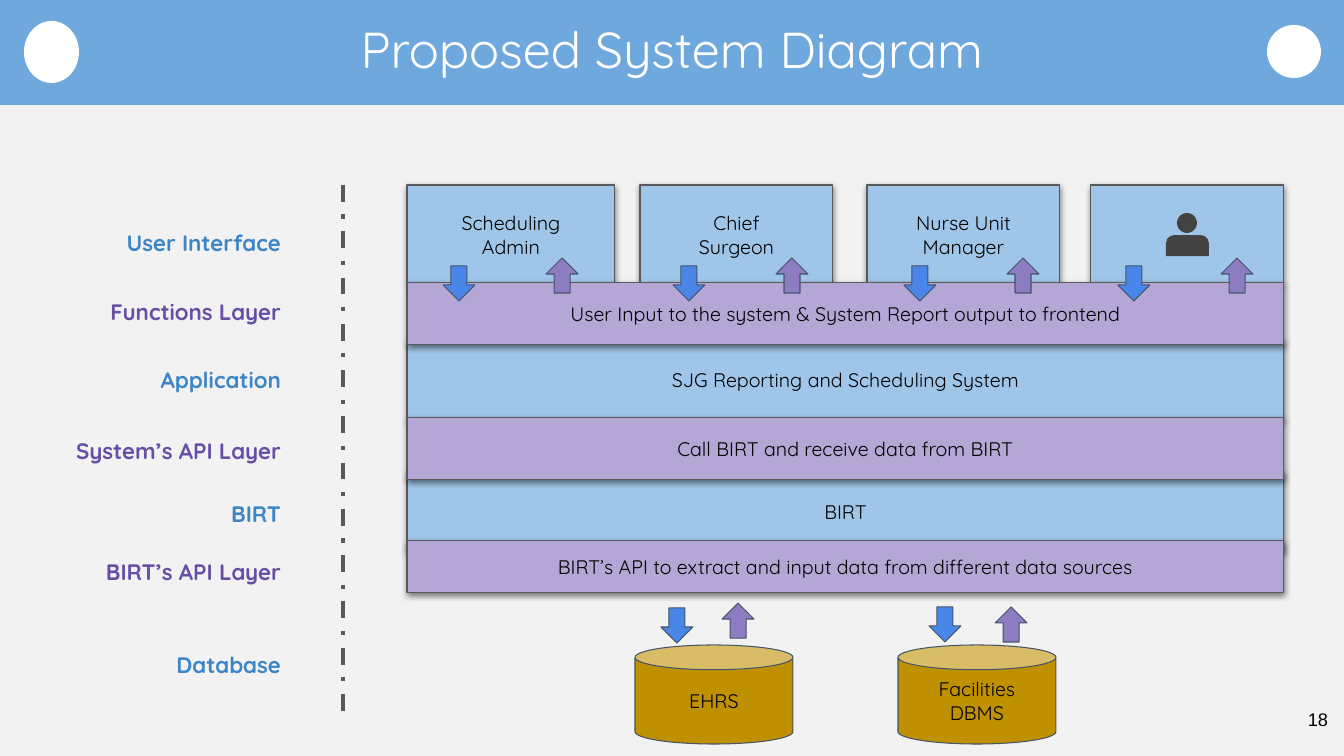
import pptx
import pptx.dml.color
import pptx.enum.dml
import pptx.enum.shapes
import pptx.enum.text
import pptx.oxml
import pptx.oxml.ns
import pptx.util

SHAPE = pptx.enum.shapes.MSO_SHAPE
ALIGN = pptx.enum.text.PP_ALIGN
ANCHOR = pptx.enum.text.MSO_ANCHOR

COLORS = {
    "page": "F2F2F2", "banner": "6FA8DC", "white": "FFFFFF", "black": "000000",
    "blue_band": "9FC5E8", "purple_band": "B4A7D6", "blue_label": "3D85C6",
    "purple_label": "674EA7", "outline": "595959", "down": "4A86E8", "up": "8E7CC3",
    "dark_line": "44546A", "person": "434343", "database": "BF9000",
}

LABELS = [
    ("User Interface", "blue_label", 208), ("Functions Layer", "purple_label", 277),
    ("Application", "blue_label", 345), ("System’s API Layer", "purple_label", 416),
    ("BIRT", "blue_label", 479), ("BIRT’s API Layer", "purple_label", 537),
    ("Database", "blue_label", 630),
]
USERS = [
    ("Scheduling\nAdmin", 407, 208, 443), ("Chief\nSurgeon", 640, 193, 673),
    ("Nurse Unit Manager", 867, 193, 904), ("", 1091, 193, 1118),
]
BANDS = [
    ("SJG Reporting and Scheduling System", "blue_band", 340, 80),
    ("BIRT", "blue_band", 471, 81),
    ("User Input to the system & System Report output to frontend", "purple_band", 283, 62),
    ("Call BIRT and receive data from BIRT", "purple_band", 418, 62),
    ("BIRT’s API to extract and input data from different data sources", "purple_band", 541, 52),
]
DATABASES = [
    ("EHRS", 635, (661, 608), (722, 603)),
    ("Facilities\nDBMS", 898, (929, 607), (995, 607)),
]


def color(name):
    return pptx.dml.color.RGBColor.from_string(COLORS[name])


def write_text(frame, text, size=14, ink="black", font="Quicksand", bold=False,
               align=ALIGN.CENTER, anchor=ANCHOR.MIDDLE, spacing=None, inset=(13, 13)):
    frame.word_wrap = True
    frame.auto_size = pptx.enum.text.MSO_AUTO_SIZE.NONE
    frame.vertical_anchor = anchor
    frame.margin_left = frame.margin_right = Slide.px(inset[0])
    frame.margin_top = frame.margin_bottom = Slide.px(inset[1])
    frame.text = text
    for para in frame.paragraphs:
        para.alignment = align
        para.line_spacing = spacing
        para.space_before = pptx.util.Pt(0)
        para.font.size = pptx.util.Pt(size)
        para.font.name = font
        para.font.bold = bold
        para.font.color.rgb = color(ink)


class Slide:
    """Hold the current page and draw styled elements on it in px."""

    @staticmethod
    def px(length):
        return round(length * 914400 / 100.8)

    def __init__(self, deck):
        self.page = deck.slides.add_slide(deck.slide_layouts[5])
        self.page.background.fill.solid()
        self.page.background.fill.fore_color.rgb = color("page")

    def shape(self, kind, area, fill, line=None):
        shape = self.page.shapes.add_shape(kind, *map(self.px, area))
        shape.shadow.inherit = False
        shape.fill.solid()
        shape.fill.fore_color.rgb = color(fill)
        if line:
            shape.line.color.rgb = color(line)
            shape.line.width = pptx.util.Pt(0.75)
        else:
            shape.line.fill.background()
        return shape

    def block(self, text, area, fill):
        block = self.shape(SHAPE.RECTANGLE, area, fill, "outline")
        effects = block.element.spPr.find(pptx.oxml.ns.qn("a:effectLst"))
        effects.append(pptx.oxml.parse_xml(
            f'<a:outerShdw {pptx.oxml.ns.nsdecls("a")} blurRad="57150" dist="19050" '
            'dir="5400000" algn="bl" rotWithShape="0"><a:srgbClr val="000000">'
            '<a:alpha val="50000"/></a:srgbClr></a:outerShdw>'))
        if text:
            write_text(block.text_frame, text)

    def arrow(self, left, top, direction):
        arrow = self.shape(SHAPE.DOWN_ARROW, (left, top, 32, 35), direction, "dark_line")
        arrow.rotation = 180 if direction == "up" else 0

    def text(self, text, area, **style):
        box = self.page.shapes.add_textbox(*map(self.px, area))
        write_text(box.text_frame, text, **style)

    def title(self, text, area, banner):
        title = self.page.shapes.title
        title.left, title.top, title.width, title.height = map(self.px, area)
        write_text(title.text_frame, text, size=36, ink="white", spacing=0.9, inset=(10, 5))
        banner.element.addnext(title.element)

    def divider(self, x, top, bottom):
        line = self.page.shapes.add_connector(
            pptx.enum.shapes.MSO_CONNECTOR.STRAIGHT, *map(self.px, (x, top, x, bottom)))
        line.line.color.rgb = color("outline")
        line.line.width = pptx.util.Pt(3)
        line.line.dash_style = pptx.enum.dml.MSO_LINE.DASH_DOT
        line.element.spPr.append(pptx.oxml.parse_xml(
            f'<a:effectLst {pptx.oxml.ns.nsdecls("a")}/>'))


def main():
    deck = pptx.Presentation()
    deck.slide_width, deck.slide_height = Slide.px(1344), Slide.px(756)
    slide = Slide(deck)

    banner = slide.shape(SHAPE.RECTANGLE, (0, 0, 1344, 105), "banner")
    slide.title("Proposed System Diagram", (34, 12, 1276, 80), banner)
    for badge_area in [(24, 21, 55, 62), (1267, 25, 54, 53)]:
        slide.shape(SHAPE.OVAL, badge_area, "white")

    slide.divider(343, 185, 723)
    for text, ink, top in LABELS:
        slide.text(text, (7, top, 287, 66), size=16, ink=ink, bold=True,
                   align=ALIGN.RIGHT, spacing=1.15)

    for text, left, width, _ in USERS:
        slide.block(text, (left, 185, width, 99), "blue_band")
    for text, fill, top, height in BANDS:
        slide.block(text, (407, top, 877, height), fill)
    for *_, arrow_left in USERS:
        slide.arrow(arrow_left, 266, "down")
        slide.arrow(arrow_left + 103, 258, "up")

    slide.shape(SHAPE.OVAL, (1177, 213, 20, 20), "person")
    shoulders = slide.shape(SHAPE.ROUND_2_SAME_RECTANGLE, (1166, 235, 43, 21), "person")
    shoulders.adjustments[0] = 0.4

    for text, left, down, up in DATABASES:
        can = slide.shape(SHAPE.CAN, (left, 645, 158, 99), "database", "dark_line")
        write_text(can.text_frame, text, inset=(10, 10))
        slide.arrow(*down, "down")
        slide.arrow(*up, "up")

    slide.text("18", (1258, 698, 80, 57), size=13, font="Arial", align=ALIGN.RIGHT,
               anchor=ANCHOR.TOP, inset=(10, 10))
    deck.save("out.pptx")


if __name__ == "__main__":
    main()
